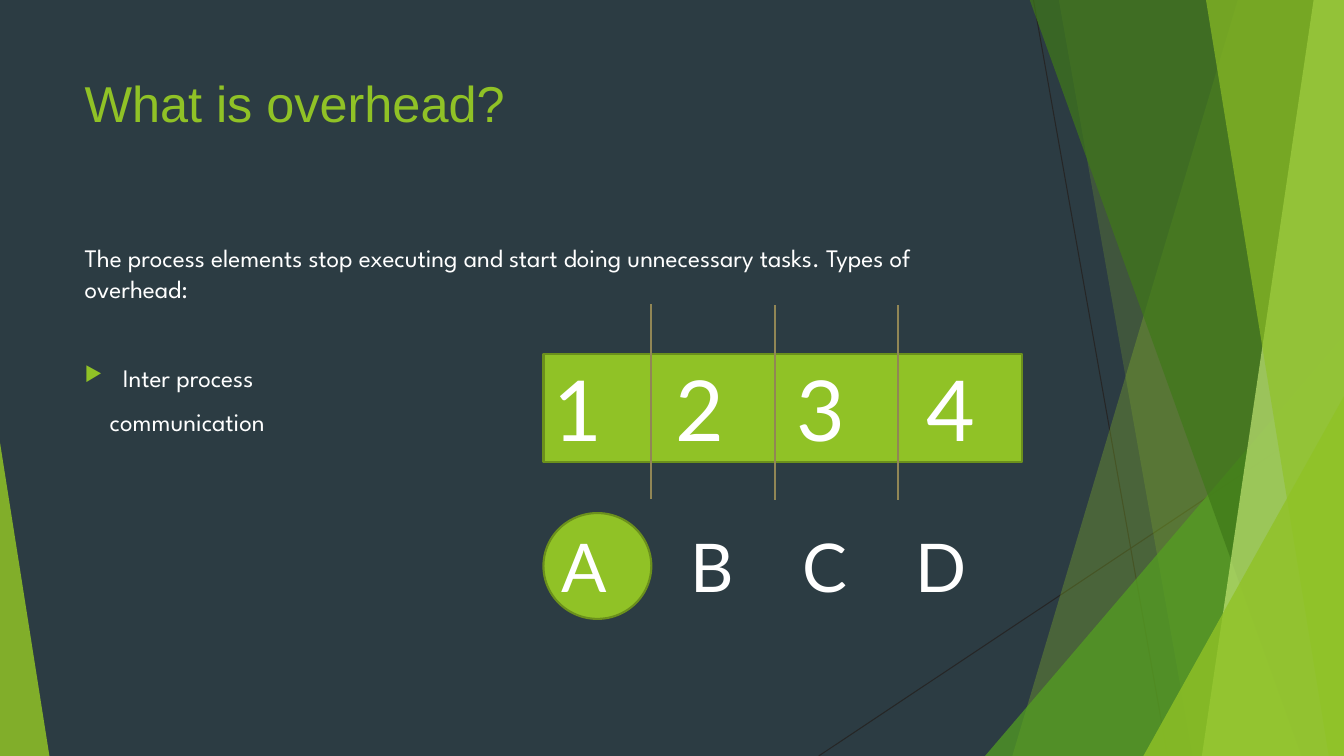
from pptx import Presentation
from pptx.dml.color import RGBColor
from pptx.enum.shapes import MSO_CONNECTOR, MSO_SHAPE
from pptx.enum.text import MSO_ANCHOR, PP_ALIGN
from pptx.oxml.ns import qn
from pptx.util import Inches, Pt
from lxml import etree

STRAIGHT = MSO_CONNECTOR.STRAIGHT
TRIANGLE, RECTANGLE, OVAL = MSO_SHAPE.ISOSCELES_TRIANGLE, MSO_SHAPE.RECTANGLE, MSO_SHAPE.OVAL
MIDDLE, LEFT = MSO_ANCHOR.MIDDLE, PP_ALIGN.LEFT

SLATE = RGBColor(0x2C, 0x3C, 0x43)
CHARCOAL = RGBColor(0x26, 0x26, 0x26)
LIME = RGBColor(0x90, 0xC2, 0x26)
GREEN = RGBColor(0x54, 0xA0, 0x21)
FOREST = RGBColor(0x3F, 0x78, 0x19)
PALE = RGBColor(0xC0, 0xE4, 0x74)
OLIVE = RGBColor(0x6B, 0x90, 0x1C)
TAN = RGBColor(0x91, 0x86, 0x55)
WHITE = RGBColor(0xFF, 0xFF, 0xFF)

WIDTH, HEIGHT = 13.33, 7.5

deck = Presentation()
deck.slide_width, deck.slide_height = Inches(WIDTH), Inches(HEIGHT)
page = deck.slides.add_slide(deck.slide_layouts[6])
page.background.fill.solid()
page.background.fill.fore_color.rgb = SLATE


def add_line(x1, y1, x2, y2, color, width):
    line = page.shapes.add_connector(STRAIGHT, Inches(x1), Inches(y1), Inches(x2), Inches(y2))
    line.line.color.rgb = color
    line.line.width = Pt(width)
    etree.SubElement(line._element.spPr, qn("a:effectLst"))


def write(box, paragraph, text, size, font, color, tabs=()):
    """Fill one paragraph, with optional tab stops in inches."""
    box.text_frame.word_wrap = True
    paragraph.text = text
    paragraph.alignment = LEFT
    if tabs:
        stops = etree.SubElement(paragraph._p.get_or_add_pPr(), qn("a:tabLst"))
        for stop in tabs:
            etree.SubElement(stops, qn("a:tab"), pos=str(Inches(stop)), algn="l")
    paragraph.font.size = Pt(size)
    paragraph.font.name = font
    paragraph.font.color.rgb = color


# Thin background lines
add_line(10.25, 0, 11.58, HEIGHT, CHARCOAL, 0.75)
add_line(WIDTH, 4.03, 8.12, HEIGHT, CHARCOAL, 0.75)

# Translucent facets: bands by top and bottom x, triangles by left, top, width, corner
facets = [
    ((12.28, 10.04), LIME, 30),
    ((10.5, 11.83), LIME, 20),
    ((9.77, 3.33, 3.56, 1), GREEN, 72),
    ((10.21, 12.91), FOREST, 70),
    ((13.03, 11.92), PALE, 70),
    ((11.96, 13.18), LIME, 65),
    ((11.34, 3.93, 1.99, 1), LIME, 80),
    ((0, 4.39, 0.49, 0), LIME, 85),
]
for geometry, color, opacity in facets:
    if len(geometry) == 2:
        top_x, bottom_x = geometry
        outline = page.shapes.build_freeform(Inches(top_x), Inches(-0.01))
        outline.add_line_segments([
            (Inches(WIDTH), Inches(-0.01)),
            (Inches(WIDTH), Inches(HEIGHT)),
            (Inches(bottom_x), Inches(HEIGHT)),
        ])
        facet = outline.convert_to_shape()
    else:
        left, top, width, corner = geometry
        facet = page.shapes.add_shape(
            TRIANGLE, Inches(left), Inches(top), Inches(width), Inches(HEIGHT - top))
        facet.adjustments[0] = corner
    facet.shadow.inherit = False
    facet.line.fill.background()
    facet.fill.solid()
    facet.fill.fore_color.rgb = color
    swatch = facet._element.spPr.find(qn("a:solidFill"))[0]
    etree.SubElement(swatch, qn("a:alpha"), val=str(opacity * 1000))

# Title
title = page.shapes.add_textbox(Inches(0.74), Inches(0.67), Inches(9.4), Inches(1.44))
write(title, title.text_frame.paragraphs[0], "What is overhead?", 36, "Arial", LIME)

# Body: text, left margin, first-line indent, space before
body = page.shapes.add_textbox(Inches(0.74), Inches(2.36), Inches(9.4), Inches(5.14))
body_lines = [
    ("The process elements stop executing and start doing unnecessary tasks. "
     "Types of overhead:", 0, 0, 0),
    ("Inter process", 0.38, -0.38, 42),
    ("communication", 0.25, 0, 10),
]
for number, (text, margin, indent, before) in enumerate(body_lines):
    para = body.text_frame.paragraphs[0] if number == 0 else body.text_frame.add_paragraph()
    properties = para._p.get_or_add_pPr()
    properties.set("marL", str(Inches(margin)))
    properties.set("indent", str(Inches(indent)))
    if indent:
        bullet_color = etree.SubElement(properties, qn("a:buClr"))
        etree.SubElement(bullet_color, qn("a:srgbClr"), val=str(LIME))
        etree.SubElement(properties, qn("a:buSzPct"), val="80000")
        etree.SubElement(properties, qn("a:buChar"), char="▶")
    para.space_before = Pt(before)
    write(body, para, text, 18, "League Spartan", WHITE)

# Process circle and numbered bar
circle = page.shapes.add_shape(OVAL, Inches(5.39), Inches(5.09), Inches(1.07), Inches(1.05))
bar = page.shapes.add_shape(RECTANGLE, Inches(5.39), Inches(3.51), Inches(4.75), Inches(1.07))
for shape in (circle, bar):
    shape.shadow.inherit = False
    shape.fill.solid()
    shape.fill.fore_color.rgb = LIME
    shape.line.color.rgb = OLIVE
    shape.line.width = Pt(1.5)
bar.text_frame.vertical_anchor = MIDDLE
write(bar, bar.text_frame.paragraphs[0], "1\t2\t3\t4", 60, "Lato", WHITE, (1.21, 2.41, 3.7))

# Dividers between the numbers
for x, top in ((6.46, 3.02), (7.69, 3.03), (8.91, 3.03)):
    add_line(x, top, x, top + 1.93, TAN, 1.5)

# Process letters
letters = page.shapes.add_textbox(Inches(5.33), Inches(5.16), Inches(4.88), Inches(0.91))
letters.text_frame.margin_left = Inches(0.24)
write(letters, letters.text_frame.paragraphs[0], "A\tB\tC\tD", 48, "Lato", WHITE,
      (1.28, 2.39, 3.51))

deck.save("out.pptx")
